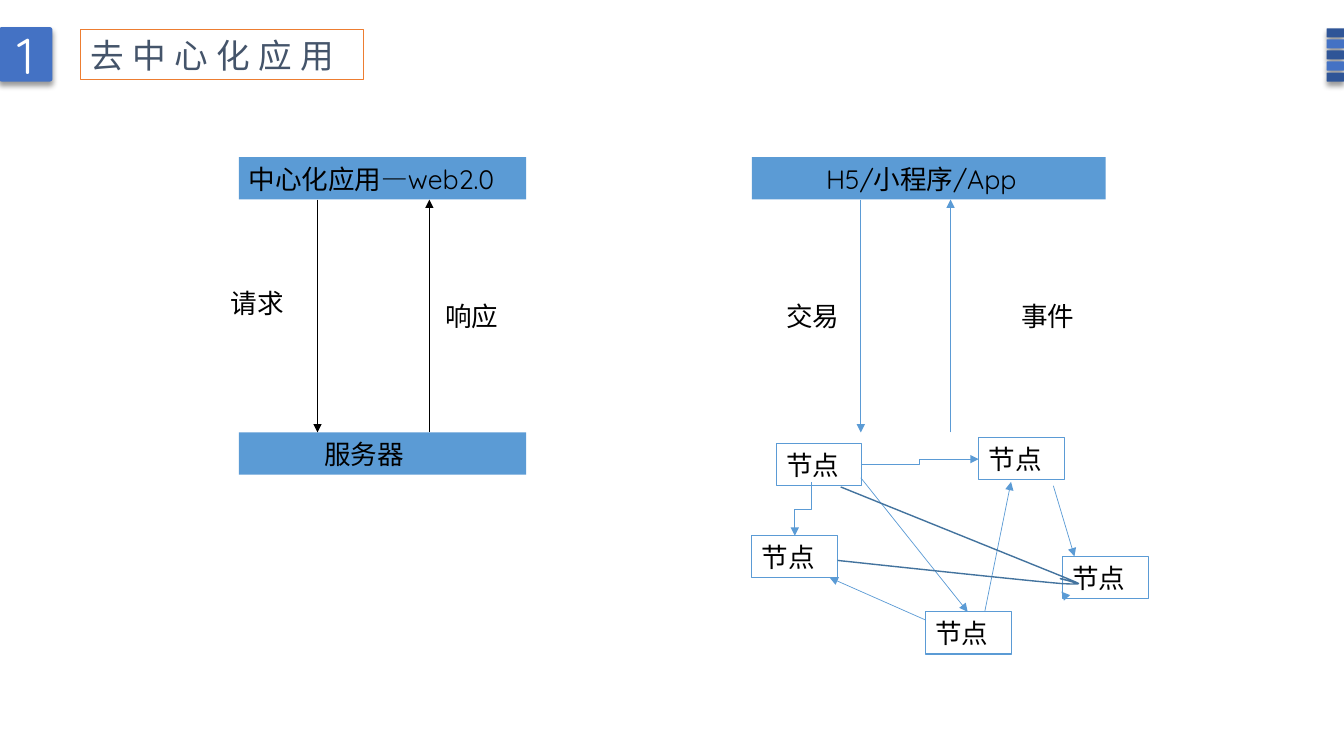
from lxml.etree import SubElement
from pptx import Presentation
from pptx.dml.color import RGBColor
from pptx.enum.shapes import MSO_CONNECTOR, MSO_SHAPE
from pptx.enum.text import MSO_ANCHOR, MSO_AUTO_SIZE, PP_ALIGN
from pptx.oxml.ns import qn
from pptx.util import Pt

LATIN, CJK = "Quicksand", "Noto Sans CJK SC"
BLUE, DARK_BLUE, SKY, BLACK = "4472C4", "2F5597", "5B9BD5", "000000"
BOX_H = 30.2
NODE_W = 61.2


def color(value):
    return RGBColor.from_string(value)


def set_text(sp, text, size=19, hex_color=BLACK, latin=LATIN,
             align=PP_ALIGN.LEFT, left=7.2):
    tf = sp.text_frame
    tf.word_wrap = True
    tf.auto_size = MSO_AUTO_SIZE.NONE
    tf.vertical_anchor = MSO_ANCHOR.MIDDLE
    tf.margin_left, tf.margin_right = Pt(left), Pt(7.2)
    tf.margin_top = tf.margin_bottom = Pt(3.6)
    p = tf.paragraphs[0]
    p.alignment = align
    r = p.add_run()
    r.text = text
    p.font.size = Pt(size)
    p.font.name = latin
    p.font.color.rgb = color(hex_color)
    rPr = r._r.get_or_add_rPr()
    SubElement(rPr, qn("a:ea"), typeface=CJK)
    return rPr


def add_box(slide, x, y, w, h=BOX_H, fill=None, line=None, kind=MSO_SHAPE.RECTANGLE):
    sp = slide.shapes.add_shape(kind, Pt(x), Pt(y), Pt(w), Pt(h))
    sp.shadow.inherit = False
    if fill:
        sp.fill.solid()
        sp.fill.fore_color.rgb = color(fill)
    else:
        sp.fill.background()
    if line:
        sp.line.color.rgb = color(line)
        sp.line.width = Pt(0.75)
    else:
        sp.line.fill.background()
    return sp


def add_raised_box(slide, x, y, w, h, fill):
    sp = add_box(slide, x, y, w, h, fill, kind=MSO_SHAPE.ROUNDED_RECTANGLE)
    sp.adjustments[0] = 0.05
    effects = sp._element.spPr.find(qn("a:effectLst"))
    shadow = SubElement(effects, qn("a:outerShdw"), blurRad=str(Pt(4)),
                        dist=str(Pt(3)), dir="5400000", rotWithShape="0")
    clr = SubElement(shadow, qn("a:srgbClr"), val=BLACK)
    SubElement(clr, qn("a:alpha"), val="40000")
    return sp


def add_label(slide, text, x, y, w=NODE_W):
    set_text(slide.shapes.add_textbox(Pt(x), Pt(y), Pt(w), Pt(BOX_H)), text)


def add_arrow(slide, x1, y1, x2, y2, line=SKY, kind=MSO_CONNECTOR.STRAIGHT, rotation=0):
    c = slide.shapes.add_connector(kind, Pt(x1), Pt(y1), Pt(x2), Pt(y2))
    c.line.color.rgb = color(line)
    c.line.width = Pt(0.5)
    spPr = c._element.spPr
    if rotation:
        spPr.find(qn("a:xfrm")).set("rot", str(rotation * 60000))
    SubElement(spPr.find(qn("a:ln")), qn("a:tailEnd"), type="triangle")
    SubElement(spPr, qn("a:effectLst"))


def bezier(p0, p1, p2, p3, steps=12):
    for i in range(1, steps + 1):
        t = i / steps
        weights = ((1 - t) ** 3, 3 * t * (1 - t) ** 2, 3 * t * t * (1 - t), t ** 3)
        yield tuple(sum(k * v for k, v in zip(weights, axis))
                    for axis in zip(p0, p1, p2, p3))


def add_curve(slide, start, bend, curves):
    points = [bend]
    for controls in curves:
        points += bezier(points[-1], *controls)
    builder = slide.shapes.build_freeform(Pt(start[0]), Pt(start[1]))
    builder.add_line_segments([(Pt(x), Pt(y)) for x, y in points], close=False)
    sp = builder.convert_to_shape()
    sp.shadow.inherit = False
    sp.fill.background()
    sp.line.color.rgb = color("43739E")
    sp.line.width = Pt(1)


def add_header(slide):
    number = add_raised_box(slide, -0.7, 19.4, 38.2, 38.9, BLUE)
    set_text(number, "1", 36, "FFFFFF", align=PP_ALIGN.CENTER)
    title = slide.shapes.title
    title.left, title.top, title.width, title.height = Pt(57.6), Pt(21), Pt(202.3), Pt(36)
    title.line.color.rgb = color("ED7D31")
    title.line.width = Pt(0.75)
    set_text(title, "去中心化应用", 24, "44546A", latin=CJK).set("spc", "600")
    for i in range(5):
        add_raised_box(slide, 947.7, 20.2 + 7.9 * i, 12.3, 6.5, (DARK_BLUE, BLUE)[i % 2])


def add_centralized(slide):
    set_text(add_box(slide, 170.6, 112.3, 205.2, fill=SKY), "中心化应用—web2.0")
    set_text(add_box(slide, 170.6, 308.9, 205.2, fill=SKY), "服务器", left=61)
    add_arrow(slide, 226.8, 142.6, 226.8, 308.9, BLACK)
    add_arrow(slide, 306.7, 308.9, 306.7, 142.6, BLACK)
    add_label(slide, "请求", 157.7, 200.9)
    add_label(slide, "响应", 311, 210.2)


def add_decentralized(slide):
    set_text(add_box(slide, 537.1, 112.3, 252.7, fill=SKY), "H5/小程序/App", left=53)
    for x, y in ((537.1, 382.3), (699.1, 312.5), (661, 437),
                 (758.9, 397.4), (554.4, 316.8)):
        set_text(add_box(slide, x, y, NODE_W, line=SKY), "节点")
    for ends in ((614.9, 341.3, 691.2, 437), (661, 442.8, 592.6, 412.6),
                 (703.4, 437, 722.2, 344.2), (752.4, 347, 767.5, 397.4),
                 (614.9, 142.6, 614.9, 308.9), (679, 308.9, 679, 142.6)):
        add_arrow(slide, *ends)
    for ends, rotation in (((554.4, 357.8, 592.6, 369.4), 90),
                           ((614.9, 331.9, 699.1, 328), 0),
                           ((758.2, 422.6, 758.9, 423.4), 180)):
        add_arrow(slide, *ends, kind=MSO_CONNECTOR.ELBOW, rotation=rotation)
    add_curve(slide, (600.5, 347.8), (758.9, 411.8),
              (((785.5, 422.6), (757.4, 412.6), (757.4, 413.3)),
               ((757.4, 414), (785.5, 418.3), (758.9, 416.9)),
               ((732.2, 414.7), (598.3, 400.3), (598.3, 400.3))))
    add_label(slide, "交易", 554.4, 210.2)
    add_label(slide, "事件", 722.2, 210.2)


def main():
    prs = Presentation()
    prs.slide_width, prs.slide_height = Pt(960), Pt(540)
    slide = prs.slides.add_slide(prs.slide_layouts[5])
    add_header(slide)
    add_centralized(slide)
    add_decentralized(slide)
    prs.save("out.pptx")


if __name__ == "__main__":
    main()
